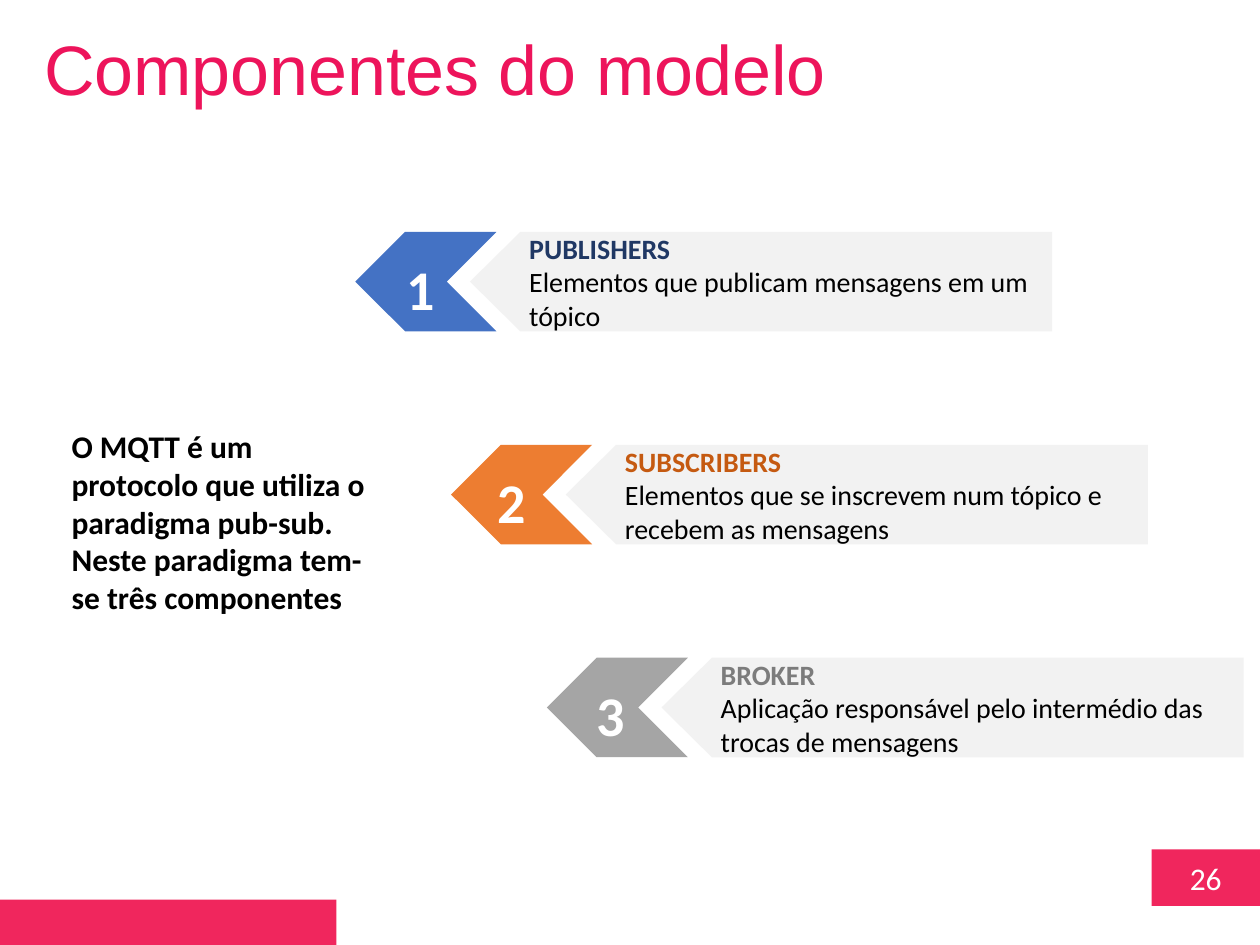
import pptx
import pptx.util
import pptx.dml.color
import pptx.enum.shapes
import pptx.enum.text

Inches = pptx.util.Inches
Pt = pptx.util.Pt
RGBColor = pptx.dml.color.RGBColor
MSO_SHAPE = pptx.enum.shapes.MSO_SHAPE
MSO_ANCHOR = pptx.enum.text.MSO_ANCHOR
MSO_AUTO_SIZE = pptx.enum.text.MSO_AUTO_SIZE
PP_ALIGN = pptx.enum.text.PP_ALIGN

PINK = RGBColor(0xF0, 0x26, 0x5D)
TITLE_PINK = RGBColor(0xED, 0x14, 0x5B)
WHITE = RGBColor(0xFF, 0xFF, 0xFF)
BLACK = RGBColor(0, 0, 0)
PALE_GRAY = RGBColor(0xF2, 0xF2, 0xF2)
BLUE = RGBColor(0x44, 0x72, 0xC4)
NAVY = RGBColor(0x20, 0x38, 0x64)
ORANGE = RGBColor(0xED, 0x7D, 0x31)
DARK_ORANGE = RGBColor(0xC5, 0x5A, 0x11)
GRAY = RGBColor(0xA5, 0xA5, 0xA5)
DARK_GRAY = RGBColor(0x7C, 0x7C, 0x7C)

ROW_HEIGHT = 0.79
COMPONENTS = [
    ("PUBLISHERS", "Elementos que publicam mensagens em um tópico", BLUE, NAVY, 0.26),
    ("SUBSCRIBERS", "Elementos que se inscrevem num tópico e recebem as mensagens",
     ORANGE, DARK_ORANGE, 0.22),
    ("BROKER", "Aplicação responsável pelo intermédio das trocas de mensagens",
     GRAY, DARK_GRAY, 0.25),
]


def style_shape(sp, fill):
    sp.shadow.inherit = False
    sp.fill.solid()
    sp.fill.fore_color.rgb = fill
    sp.line.fill.background()


def add_block(s, kind, left, top, width, height, fill):
    sp = s.shapes.add_shape(kind, Inches(left), Inches(top), Inches(width), Inches(height))
    style_shape(sp, fill)
    return sp


def write(p, text, size, color, bold=False, align=PP_ALIGN.LEFT, font="Calibri"):
    p.text = text
    p.alignment = align
    p.font.name = font
    p.font.size = Pt(size)
    p.font.bold = bold
    p.font.color.rgb = color


def add_text(s, left, top, width, height, lines, size, color, align=PP_ALIGN.LEFT):
    tf = s.shapes.add_textbox(Inches(left), Inches(top), Inches(width), Inches(height)).text_frame
    tf.word_wrap = True
    for i, line in enumerate(lines):
        p = tf.add_paragraph() if i else tf.paragraphs[0]
        write(p, line, size, color, True, align)


def add_title(s, text):
    title = s.shapes.title
    title.left, title.top = Inches(0.25), Inches(0.15)
    title.width, title.height = Inches(7.23), Inches(0.77)
    tf = title.text_frame
    tf.auto_size = MSO_AUTO_SIZE.NONE
    tf.vertical_anchor = MSO_ANCHOR.TOP
    write(tf.paragraphs[0], text, 40, TITLE_PINK, font="Arial")


def add_banner(s, left, top, name, description, color):
    right, bottom, notch = left + 4.62, top + ROW_HEIGHT, left + 0.4
    builder = s.shapes.build_freeform(Inches(notch), Inches(top))
    corners = [(right, top), (right, bottom), (notch, bottom), (left, top + ROW_HEIGHT / 2)]
    builder.add_line_segments([(Inches(x), Inches(y)) for x, y in corners])
    sp = builder.convert_to_shape()
    style_shape(sp, PALE_GRAY)
    tf = sp.text_frame
    tf.word_wrap = True
    tf.margin_left = Inches(0.47)
    tf.vertical_anchor = MSO_ANCHOR.MIDDLE
    write(tf.paragraphs[0], name, 16, color, True)
    write(tf.add_paragraph(), description, 16, BLACK)


def add_component(s, index, name, description, fill, name_color, number_offset):
    left, top = 2.82 + 0.76 * index, 1.84 + 1.69 * index
    chevron = add_block(s, MSO_SHAPE.CHEVRON, left, top, 1.12, ROW_HEIGHT, fill)
    chevron.rotation = 180
    add_banner(s, left + 0.91, top, name, description, name_color)
    add_text(s, left + number_offset, top + 0.13, 0.52, 0.64, [str(index + 1)],
             32, WHITE, PP_ALIGN.CENTER)


def add_footer(s, number):
    sp = add_block(s, MSO_SHAPE.RECTANGLE, 9.14, 6.74, 0.86, 0.45, PINK)
    sp.text_frame.vertical_anchor = MSO_ANCHOR.MIDDLE
    write(sp.text_frame.paragraphs[0], number, 18, WHITE, align=PP_ALIGN.CENTER)
    add_block(s, MSO_SHAPE.RECTANGLE, 0, 7.14, 2.67, 0.36, PINK)


def main():
    prs = pptx.Presentation()
    prs.slide_width, prs.slide_height = Inches(10), Inches(7.5)
    s = prs.slides.add_slide(prs.slide_layouts[5])
    add_footer(s, "26")
    add_title(s, "Componentes do modelo")
    add_text(s, 0.47, 3.34, 2.6, 1.62,
             ["O MQTT é um protocolo que utiliza o paradigma pub-sub.",
              "Neste paradigma tem-se três componentes"], 18, BLACK)
    for index, component in enumerate(COMPONENTS):
        add_component(s, index, *component)
    prs.save("out.pptx")


if __name__ == "__main__":
    main()
